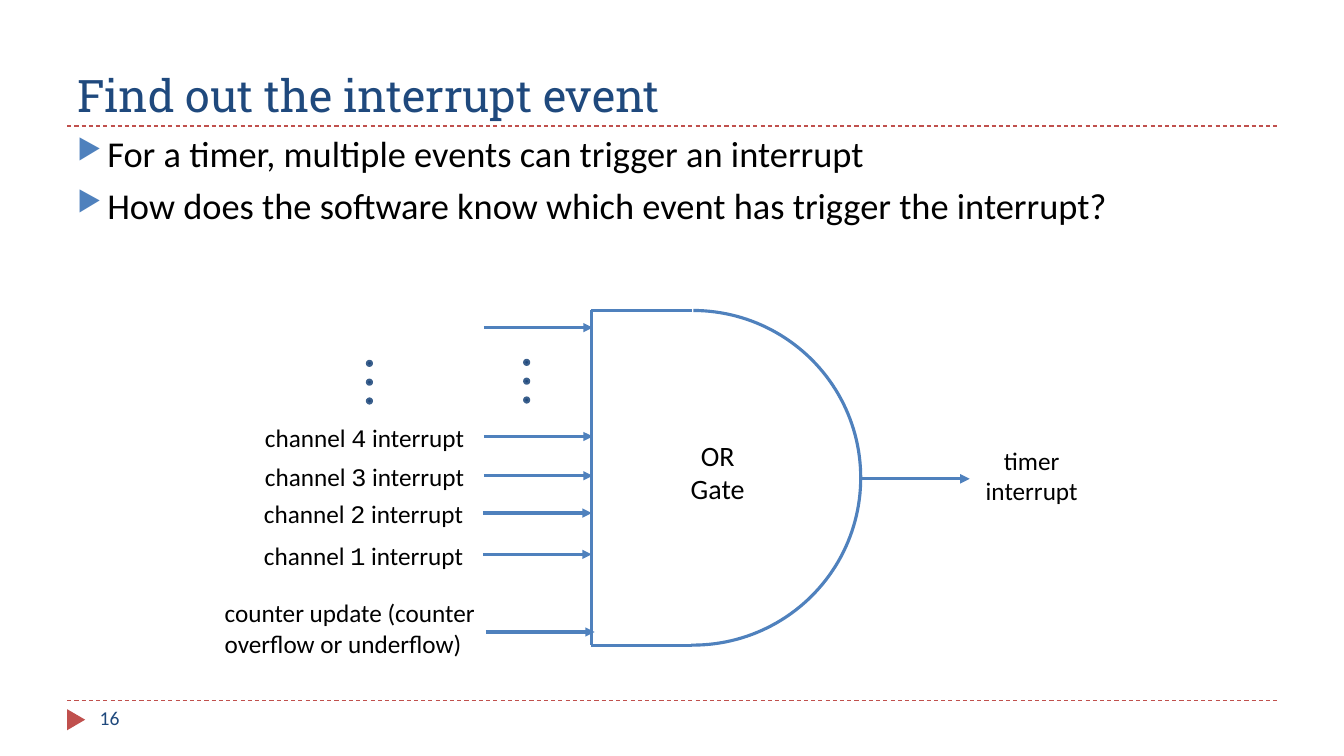
"""Build a slide on the events that an OR gate joins into one timer interrupt."""
from pptx import Presentation
from pptx import util as u
from pptx.dml.color import RGBColor
from pptx.enum import dml, shapes, text
from pptx.oxml import ns, xmlchemy

COLUMNS, ROWS = 40, 22.5
CELL = u.Inches(1 / 3)
BLUE = RGBColor(0x4F, 0x81, 0xBD)
NAVY = RGBColor(0x1F, 0x49, 0x7D)
DOT_EDGE = RGBColor(0x3A, 0x5F, 0x8C)
RED = RGBColor(0xC0, 0x50, 0x4D)
BLACK = RGBColor(0, 0, 0)
SANS, SLAB, MONO = "Calibri", "Roboto Slab", "Courier New"


def cells(*lengths):
    """Turn grid lengths into slide lengths."""
    return [u.Emu(round(length * CELL)) for length in lengths]


def add_child(parent, tag, **attributes):
    """Append an XML element with the given attributes."""
    child = xmlchemy.OxmlElement(tag)
    for name, value in attributes.items():
        child.set(name, value)
    parent.append(child)
    return child


def add_run(paragraph, wording, size, color=BLACK, font=SANS):
    """Add one formatted run."""
    run = paragraph.add_run()
    run.text = wording
    run.font.size = u.Pt(size)
    run.font.name = font
    run.font.color.rgb = color


def add_text(slide, box, runs, size, color=BLACK, align=text.PP_ALIGN.LEFT,
             anchor=text.MSO_ANCHOR.TOP):
    """Add a one-paragraph text box from (wording, font) runs."""
    frame = slide.shapes.add_textbox(*cells(*box)).text_frame
    frame.word_wrap = True
    frame.vertical_anchor = anchor
    paragraph = frame.paragraphs[0]
    paragraph.alignment = align
    for wording, font in runs:
        add_run(paragraph, wording, size, color, font)


def add_bullets(slide, box, lines):
    """Add the bulleted body text."""
    frame = slide.shapes.add_textbox(*cells(*box)).text_frame
    frame.word_wrap = True
    for index, line in enumerate(lines):
        paragraph = frame.add_paragraph() if index else frame.paragraphs[0]
        properties = paragraph._p.get_or_add_pPr()
        indent = u.Inches(0.3)
        properties.set("marL", str(indent))
        properties.set("indent", str(-indent))
        if index:
            paragraph.space_before = u.Pt(6)
        bullet_color = add_child(properties, "a:buClr")
        add_child(bullet_color, "a:srgbClr", val=str(BLUE))
        add_child(properties, "a:buSzPct", val="76000")
        add_child(properties, "a:buChar", char="▶")
        add_run(paragraph, line, 26)


def add_line(slide, start, end, color=BLUE, width=2.25, dashed=False, arrow=False):
    """Add a straight line, dashed or with an arrowhead if asked."""
    line = slide.shapes.add_connector(
        shapes.MSO_CONNECTOR.STRAIGHT, *cells(*start, *end))
    line.line.color.rgb = color
    line.line.width = u.Pt(width)
    if dashed:
        line.line.dash_style = dml.MSO_LINE.DASH
    if arrow:
        add_child(line.line._get_or_add_ln(), "a:tailEnd", type="triangle")
    add_child(line._element.find(ns.qn("p:spPr")), "a:effectLst")


def add_arrow(slide, left, row):
    """Add a signal arrow of the common length."""
    add_line(slide, (left, row), (left + 3.24, row), arrow=True)


def add_preset(parent, kind, box, fill=None, edge=None, width=2.25):
    """Add a preset shape with plain fill and outline."""
    shape = parent.shapes.add_shape(kind, *cells(*box))
    shape.shadow.inherit = False
    if fill is None:
        shape.fill.background()
    else:
        shape.fill.solid()
        shape.fill.fore_color.rgb = fill
    if edge is None:
        shape.line.fill.background()
    else:
        shape.line.color.rgb = edge
        shape.line.width = u.Pt(width)
    return shape


def add_ellipsis(slide, left, top):
    """Add three grouped dots in a column."""
    group = slide.shapes.add_group_shape()
    for index in range(3):
        add_preset(group, shapes.MSO_SHAPE.OVAL, (left, top + 0.56 * index, 0.15, 0.15),
                   NAVY, DOT_EDGE, 1.5)


def add_frame(slide):
    """Add the rules, the page marker, the title and the page number."""
    for row in (20.85, 3.75):
        add_line(slide, (2, row), (38, row), RED, 0.75, dashed=True)
    marker = add_preset(slide, shapes.MSO_SHAPE.ISOSCELES_TRIANGLE,
                        (1.95, 21.15, 0.63, 0.54), RED)
    marker.rotation = 90
    add_text(slide, (2, 0.5, 36, 3.25), [("Find out the interrupt event", SLAB)], 32,
             NAVY, anchor=text.MSO_ANCHOR.BOTTOM)
    add_text(slide, (2.67, 20.85, 8.67, 1.2), [("16", SANS)], 14, NAVY)


def add_gate(slide):
    """Add the gate outline, its name and its output."""
    left, shoulder, top, bottom = 17.6, 20.6, 9.24, 19.2
    arc = add_preset(slide, shapes.MSO_SHAPE.ARC,
                     (15.63, top, 9.99, bottom - top), edge=BLUE)
    arc.adjustments[0], arc.adjustments[1] = 162.08, 54.38
    add_line(slide, (left, top), (left, bottom))
    for row in (top, bottom):
        add_line(slide, (shoulder, row), (left, row))
    center = text.PP_ALIGN.CENTER
    add_text(slide, (20.04, 12.9, 2.64, 2.31), [("OR Gate", SANS)], 20, align=center)
    add_arrow(slide, 25.62, 14.25)
    add_text(slide, (28.86, 13.11, 3.69, 2.13), [("timer interrupt", SANS)], 18,
             align=center)


def add_inputs(slide):
    """Add the input arrows with their labels."""
    add_arrow(slide, 14.4, 9.75)
    channels = (("4", 14.4, 12.99), ("3", 14.4, 14.16),
                ("2", 14.37, 15.27), ("1", 14.37, 16.5))
    for number, left, row in channels:
        add_arrow(slide, left, row)
        add_text(slide, (left - 6.81, row - 0.58, 6.69, 1.2),
                 [("channel ", SANS), (number, MONO), (" interrupt", SANS)], 18)
    add_arrow(slide, 14.46, 18.81)
    add_text(slide, (6.39, 17.64, 8.37, 2.13),
             [("counter update (counter overflow or underflow)", SANS)], 18)
    add_ellipsis(slide, 15.6, 10.71)
    add_ellipsis(slide, 10.92, 10.74)


def main():
    """Build and save the slide."""
    presentation = Presentation()
    presentation.slide_width, presentation.slide_height = cells(COLUMNS, ROWS)
    slide = presentation.slides.add_slide(presentation.slide_layouts[6])
    add_frame(slide)
    add_bullets(slide, (2, 3.75, 36, 16.2), (
        "For a timer, multiple events can trigger an interrupt",
        "How does the software know which event has trigger the interrupt?"))
    add_gate(slide)
    add_inputs(slide)
    presentation.save("out.pptx")


if __name__ == "__main__":
    main()
